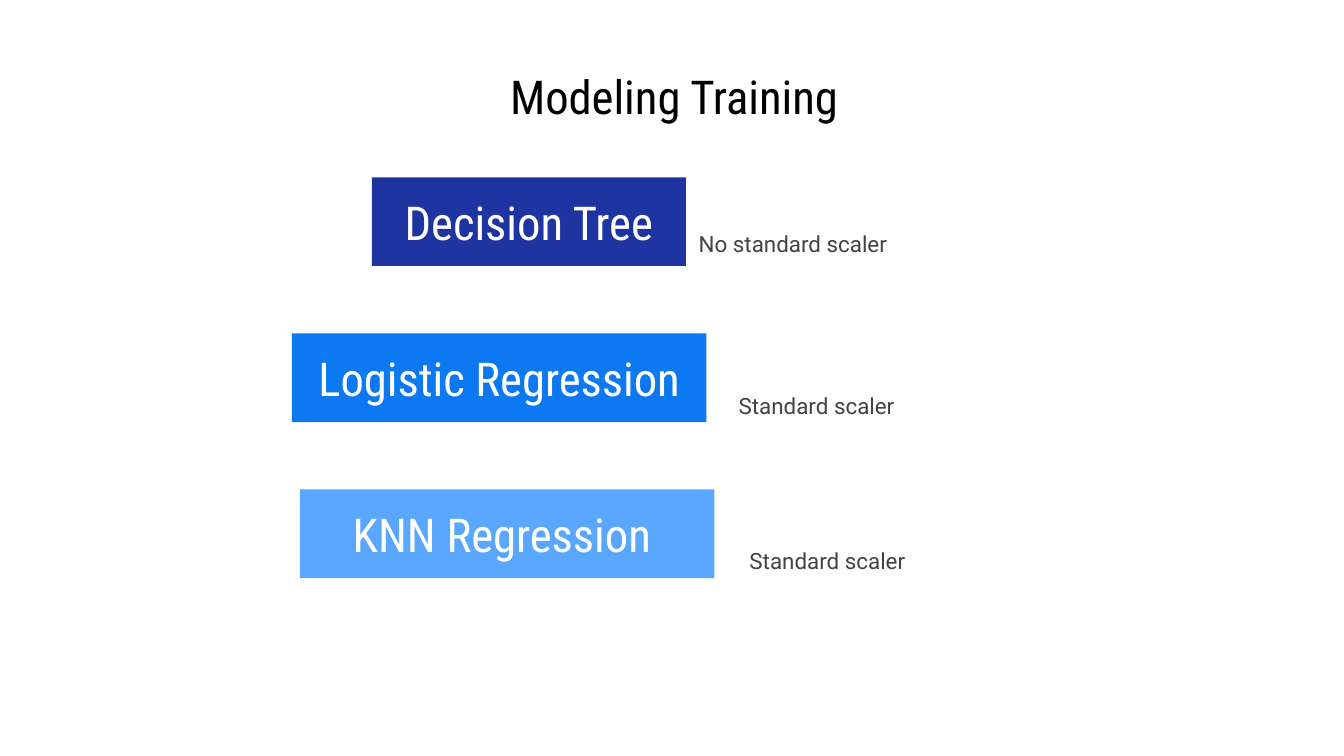
from dataclasses import dataclass

from pptx import Presentation
from pptx.dml.color import RGBColor
from pptx.enum.shapes import MSO_SHAPE
from pptx.enum.text import MSO_ANCHOR, PP_ALIGN
from pptx.shapes.base import BaseShape
from pptx.slide import Slide
from pptx.util import Pt

RECTANGLE = MSO_SHAPE.ROUNDED_RECTANGLE
MIDDLE = MSO_ANCHOR.MIDDLE
LEFT, CENTER = PP_ALIGN.LEFT, PP_ALIGN.CENTER

COLORS = {
    "title": "000000",
    "label": "FFFFFF",
    "note": "434343",
    "tree": "1E35A1",
    "logistic": "0C79F3",
    "knn": "59A7FF",
}
HEADING_FONT, NOTE_FONT = "Roboto Condensed", "Roboto"
HEADING_SIZE, NOTE_SIZE = 25, 12
INSET = 7.2
FIRST_TOP, ROW_STEP = 95, 83.6
LABEL_HEIGHT = 47.5
NOTE_WIDTH, NOTE_HEIGHT = 221.8, 41


@dataclass(frozen=True)
class Model:
    name: str
    color: str
    left: float
    width: float
    note: str
    note_left: float
    note_drop: float


MODELS = [
    Model("Decision Tree", "tree", 199.2, 168.2, "No standard scaler", 367.2, 15.2),
    Model("Logistic Regression", "logistic", 156.4, 222, "Standard scaler", 388.6, 18),
    Model("KNN Regression ", "knn", 160.7, 222, "Standard scaler", 394.4, 17.4),
]


def write_text(
    box: BaseShape,
    text: str,
    *,
    font: str = HEADING_FONT,
    size: float = HEADING_SIZE,
    color: str = "label",
    align: PP_ALIGN = CENTER,
) -> None:
    frame = box.text_frame
    frame.word_wrap = True
    frame.vertical_anchor = MIDDLE
    frame.margin_left = frame.margin_right = Pt(INSET)
    frame.margin_top = frame.margin_bottom = Pt(INSET)
    para = frame.paragraphs[0]
    para.alignment = align
    span = para.add_run()
    span.text = text
    span.font.name = font
    span.font.size = Pt(size)
    span.font.color.rgb = RGBColor.from_string(COLORS[color])


def draw_title(page: Slide, text: str) -> None:
    box = page.shapes.add_textbox(Pt(38.2), Pt(32.4), Pt(645.8), Pt(38.2))
    write_text(box, text, color="title")


def draw_model(page: Slide, model: Model, top: float) -> None:
    note = page.shapes.add_textbox(
        Pt(model.note_left), Pt(top + model.note_drop), Pt(NOTE_WIDTH), Pt(NOTE_HEIGHT)
    )
    write_text(note, model.note, font=NOTE_FONT, size=NOTE_SIZE, color="note", align=LEFT)

    label = page.shapes.add_shape(
        RECTANGLE, Pt(model.left), Pt(top), Pt(model.width), Pt(LABEL_HEIGHT)
    )
    label.adjustments[0] = 0
    label.shadow.inherit = False
    label.fill.solid()
    label.fill.fore_color.rgb = RGBColor.from_string(COLORS[model.color])
    label.line.fill.background()
    write_text(label, model.name)


def main() -> None:
    deck = Presentation()
    deck.slide_width, deck.slide_height = Pt(720), Pt(405)
    page = deck.slides.add_slide(deck.slide_layouts[6])
    draw_title(page, "Modeling Training")
    for row, model in enumerate(MODELS):
        draw_model(page, model, FIRST_TOP + row * ROW_STEP)
    deck.save("out.pptx")


if __name__ == "__main__":
    main()
